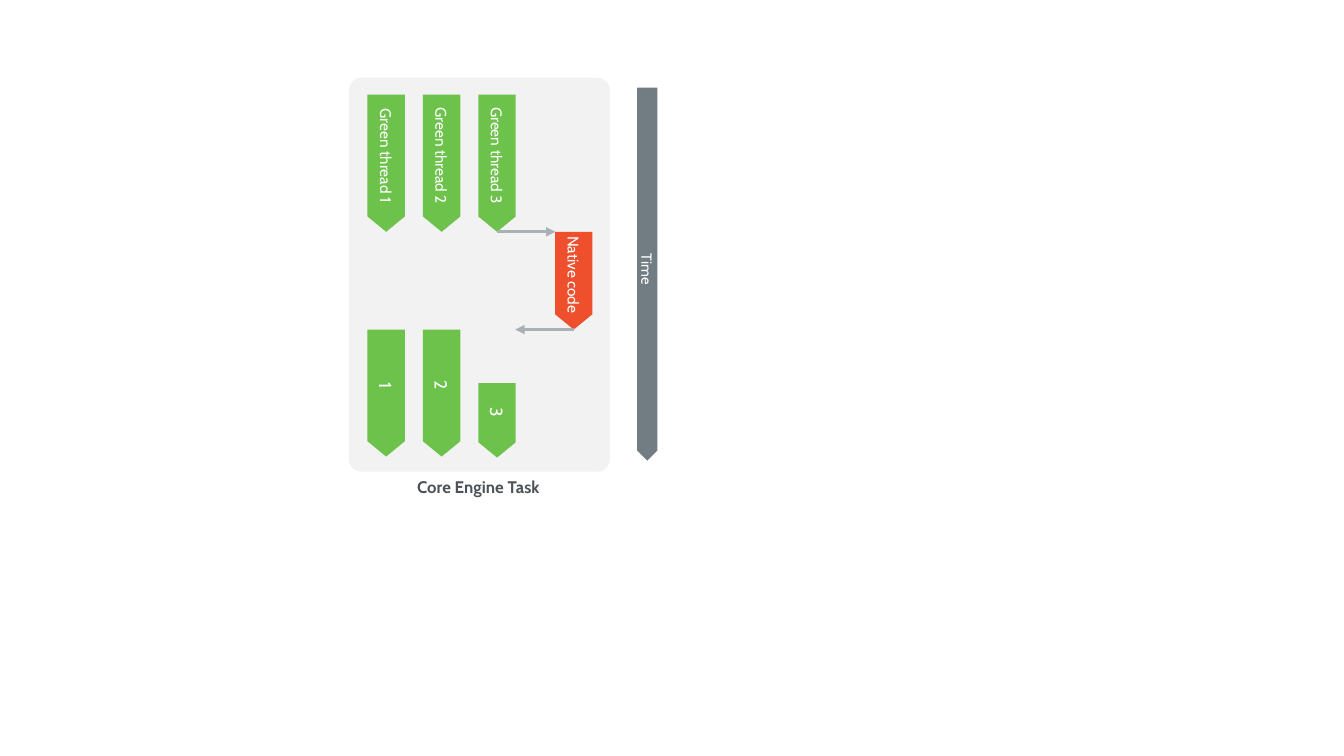
"""Build a slide on green threads that wait while native code runs."""
from lxml.etree import SubElement
from pptx import Presentation
from pptx.dml.color import RGBColor
from pptx.enum.shapes import MSO_CONNECTOR, MSO_SHAPE
from pptx.enum.text import MSO_ANCHOR, PP_ALIGN
from pptx.oxml.ns import qn
from pptx.util import Inches, Pt

FONT = "Cabin"
WHITE = RGBColor(0xFF, 0xFF, 0xFF)
PANEL = RGBColor(0xF2, 0xF2, 0xF2)
GREEN = RGBColor(0x6C, 0xC2, 0x4A)
RED = RGBColor(0xEE, 0x50, 0x2E)
SLATE = RGBColor(0x71, 0x7D, 0x83)
GREY = RGBColor(0xA9, 0xB1, 0xB5)
DARK = RGBColor(0x4B, 0x53, 0x57)

BOX = (3.46, 0.77, 2.59, 3.91)
LABEL = ("Core Engine Task", 3.69, 4.68, 2.11, 0.3)
LANE, STEP, WIDE = 3.83, 0.55, 0.37
START, LONG = 0.94, 1.36
THREADS = [("1", 3.27, 1.26), ("2", 3.27, 1.26), ("3", 3.8, 0.74)]
NATIVE = (" Native code", 5.69, 2.3, 0.97)
TIME = ("Time", 6.42, 0.87, 3.7, 0.2)
SWAPS = [(4.93, 5.51, 2.3), (5.69, 5.11, 3.27)]


def paint(shape, color):
    """Give a shape a flat fill with no line or shadow."""
    shape.shadow.inherit = False
    shape.fill.solid()
    shape.fill.fore_color.rgb = color
    shape.line.fill.background()


def write(frame, text, size, color, bold=False):
    """Put one centred line of text in a frame."""
    frame.word_wrap = True
    para = frame.paragraphs[0]
    para.text = text
    para.alignment = PP_ALIGN.CENTER
    font = para.runs[0].font
    font.name, font.size, font.bold = FONT, Pt(size), bold
    font.color.rgb = color


def add_bar(slide, text, mid, top, length, size, color=GREEN, wide=WIDE, tip=0.41):
    """Add a downward bar, centred on mid, with its text turned."""
    left, high = mid - length / 2, top + length / 2 - wide / 2
    bar = slide.shapes.add_shape(
        MSO_SHAPE.RIGHT_ARROW, Inches(left), Inches(high), Inches(length), Inches(wide))
    bar.rotation = 90
    bar.adjustments[0], bar.adjustments[1] = 1, tip
    paint(bar, color)
    write(bar.text_frame, text, size, WHITE)
    bar.text_frame.vertical_anchor = MSO_ANCHOR.MIDDLE
    return bar


def add_swap(slide, start, end, high):
    """Add a level arrow from start to end."""
    line = slide.shapes.add_connector(
        MSO_CONNECTOR.STRAIGHT, Inches(start), Inches(high), Inches(end), Inches(high))
    line.line.color.rgb = GREY
    line.line.width = Pt(2.25)
    SubElement(line.line._get_or_add_ln(), qn("a:tailEnd"), type="triangle")
    SubElement(line._element.spPr, qn("a:effectLst"))


def main():
    """Draw the slide and save it."""
    deck = Presentation()
    deck.slide_width, deck.slide_height = Inches(13.33), Inches(7.5)
    slide = deck.slides.add_slide(deck.slide_layouts[6])

    panel = slide.shapes.add_shape(MSO_SHAPE.ROUNDED_RECTANGLE, *map(Inches, BOX))
    panel.adjustments[0] = 0.05
    paint(panel, PANEL)

    for lane, (name, top, length) in enumerate(THREADS):
        mid = LANE + lane * STEP
        add_bar(slide, f"Green thread {name}", mid, START, LONG, 11)
        add_bar(slide, name, mid, top, length, 12.5)

    text, mid, top, length = NATIVE
    frame = add_bar(slide, text, mid, top, length, 11, RED).text_frame
    frame.margin_left = frame.margin_right = 0
    frame.margin_top = frame.margin_bottom = 0

    for swap in SWAPS:
        add_swap(slide, *swap)

    text, *place = LABEL
    label = slide.shapes.add_textbox(*map(Inches, place))
    write(label.text_frame, text, 12, DARK, True)

    text, mid, top, length, wide = TIME
    add_bar(slide, text, mid, top, length, 10.5, SLATE, wide, 0.5)

    deck.save("out.pptx")


if __name__ == "__main__":
    main()
